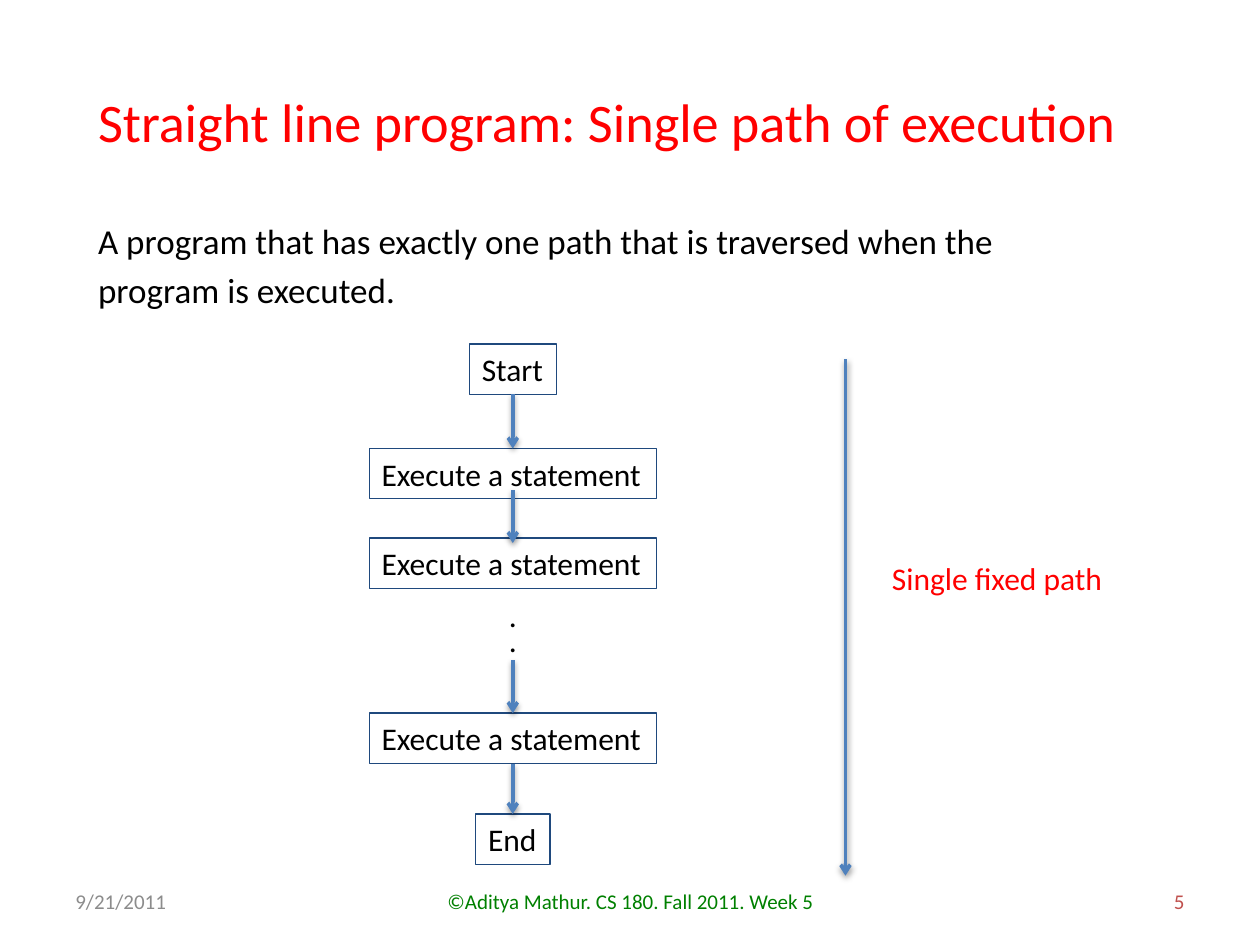
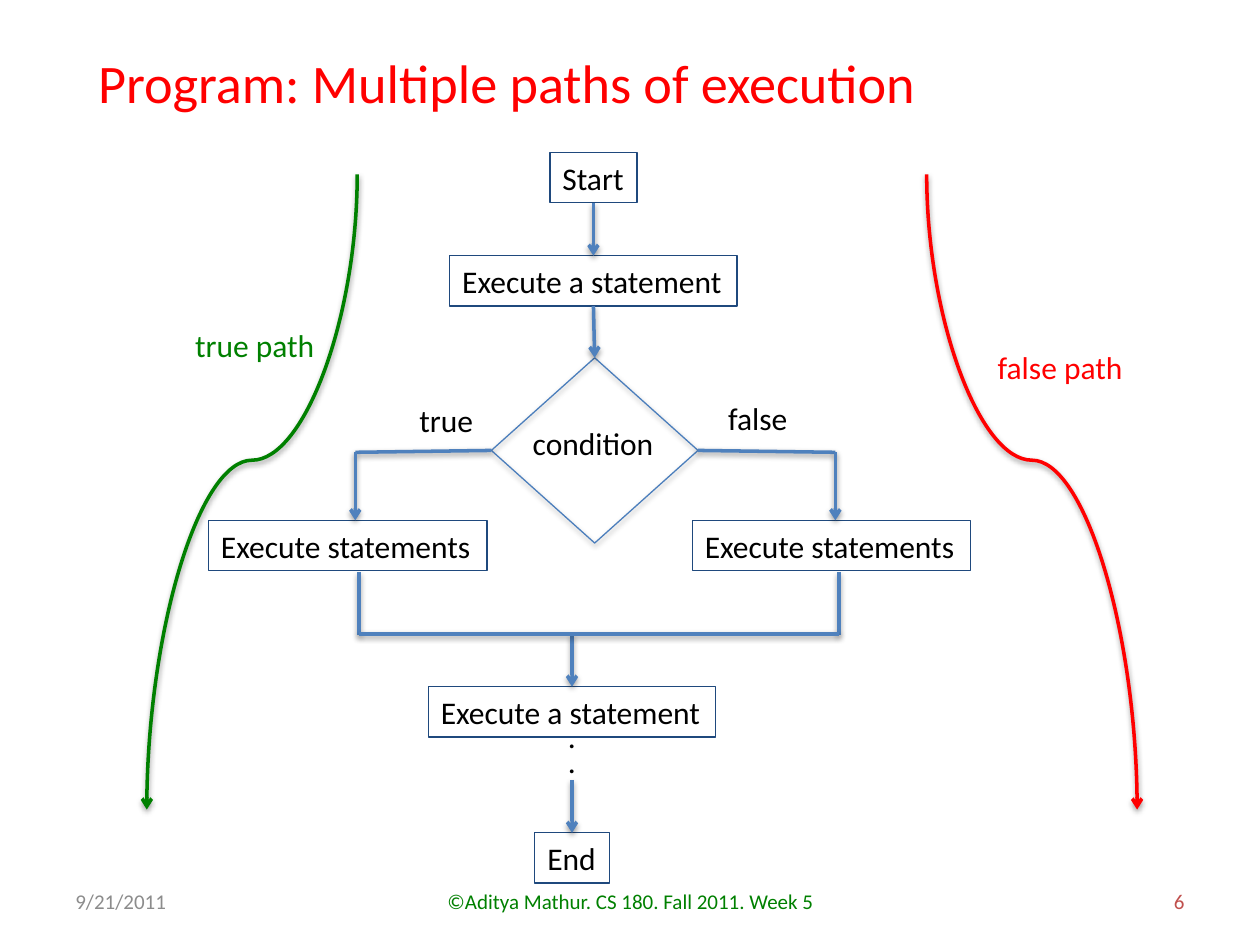
from lxml.etree import SubElement
from pptx import Presentation
from pptx.dml.color import RGBColor
from pptx.enum.shapes import MSO_CONNECTOR, MSO_SHAPE
from pptx.enum.text import MSO_ANCHOR, MSO_AUTO_SIZE, PP_ALIGN
from pptx.oxml.ns import qn
from pptx.util import Inches, Pt

COLORS = {
    "red": "FF0000", "green": "008000", "black": "000000", "gray": "8C8C8C",
    "number": "C0504D", "outline": "1F497D", "arrow": "4F81BD", "diamond": "4B7EBC",
}
FONT = "Calibri"
ROW = 0.4  # height of a one-line box
STATEMENT, STATEMENTS, START, END = 2.28, 2.21, 0.69, 0.59  # box widths
TOP, LEFT, BOTTOM, RIGHT = range(4)  # connection sites


def write(page, text, left, top, width, height=ROW, size=18, color="black",
          align=PP_ALIGN.LEFT, anchor=MSO_ANCHOR.TOP, wrap=False, outlined=False,
          line_spacing=None, space_after=None):
    place = [Inches(value) for value in (left, top, width, height)]
    if outlined:
        box = page.shapes.add_shape(MSO_SHAPE.RECTANGLE, *place)
        box.shadow.inherit = False
        box.fill.background()
        box.line.color.rgb = RGBColor.from_string(COLORS["outline"])
        box.line.width = Pt(0.75)
    else:
        box = page.shapes.add_textbox(*place)
    frame = box.text_frame
    frame.word_wrap = wrap
    frame.vertical_anchor = anchor
    if anchor == MSO_ANCHOR.TOP:
        frame.auto_size = MSO_AUTO_SIZE.SHAPE_TO_FIT_TEXT
    para = frame.paragraphs[0]
    para.alignment = align
    para.line_spacing = line_spacing
    para.space_after = space_after
    span = para.add_run()
    span.text = text
    span.font.name = FONT
    span.font.size = Pt(size)
    span.font.color.rgb = RGBColor.from_string(COLORS[color])
    return box


def connect(page, start, finish, color="arrow", head=True, kind=MSO_CONNECTOR.STRAIGHT,
            source=None, target=None):
    """Draw a shadowed line; source and target are (shape, site) pairs."""
    line = page.shapes.add_connector(kind, *[Inches(value) for value in (*start, *finish)])
    if source:
        line.begin_connect(*source)
    if target:
        line.end_connect(*target)
    line.line.color.rgb = RGBColor.from_string(COLORS[color])
    line.line.width = Pt(2)
    if head:
        SubElement(line.line._get_or_add_ln(), qn("a:tailEnd"), type="arrow")
    shadowed.append(line)
    return line


deck = Presentation()
deck.slide_width, deck.slide_height = Inches(10), Inches(7.5)
shadowed = []

# Titles and footers
pages = []
titles = [("Straight line program: Single path of execution", 0.65),
          ("Program: Multiple paths of execution", 0.34)]
for number, (title, title_top) in enumerate(titles, start=5):
    page = deck.slides.add_slide(deck.slide_layouts[6])
    pages.append(page)
    write(page, title, 0.68, title_top, 8.36, 0.62, size=31, color="red", wrap=True)
    for text, left, width, color, align in [
        ("9/21/2011", 0.5, 2.33, "gray", PP_ALIGN.LEFT),
        ("©Aditya Mathur. CS 180. Fall 2011. Week 5", 3.42, 3.17, "green", PP_ALIGN.CENTER),
        (str(number), 7.17, 2.33, "number", PP_ALIGN.RIGHT),
    ]:
        write(page, text, left, 6.95, width, size=12, color=color, align=align,
              anchor=MSO_ANCHOR.MIDDLE, wrap=True)
single, multiple = pages

# Boxes and dots of both flowcharts: text, centre, top, width
flows = [
    (single, [("Start", 4.07, 2.73, START), ("Execute a statement", 4.07, 3.56, STATEMENT),
              ("Execute a statement", 4.07, 4.27, STATEMENT),
              ("Execute a statement", 4.07, 5.66, STATEMENT), ("End", 4.07, 6.46, END)],
     (4.07, 4.68)),
    (multiple, [("Start", 4.71, 1.21, START), ("Execute a statement", 4.71, 2.03, STATEMENT),
                ("Execute statements", 2.76, 4.13, STATEMENTS),
                ("Execute statements", 6.6, 4.13, STATEMENTS),
                ("Execute a statement", 4.54, 5.45, STATEMENT), ("End", 4.54, 6.61, END)],
     (4.54, 5.64)),
]
charts = []
for page, steps, (dot_center, dot_top) in flows:
    charts.append([write(page, text, center - width / 2, top, width, outlined=True)
                   for text, center, top, width in steps])
    for row in range(2):
        write(page, ".", dot_center - 0.13, dot_top + 0.2 * row, 0.27)

# Single path: definition, arrows and path
write(single, "A program that has exactly one path that is traversed when the program is executed.",
      0.68, 1.64, 8.19, 0.88, size=20, wrap=True, line_spacing=Pt(28), space_after=Pt(18))
start, first, second, last, end = charts[0]
for top, source, target in [
    (3.14, (start, BOTTOM), (first, TOP)),
    (3.89, None, None),
    (5.24, None, (last, TOP)),
    (6.04, (last, BOTTOM), (end, TOP)),
]:
    connect(single, (4.07, top), (4.07, top + 0.42), source=source, target=target)
connect(single, (6.71, 2.85), (6.71, 6.95))
write(single, "Single fixed path", 6.98, 4.39, 1.89, color="red")

# Multiple paths: condition
start, first, true_step, false_step, last, end = charts[1]
diamond = multiple.shapes.add_shape(MSO_SHAPE.DIAMOND, Inches(3.9), Inches(2.84),
                                    Inches(1.64), Inches(1.47))
diamond.fill.background()
diamond.line.color.rgb = RGBColor.from_string(COLORS["diamond"])
diamond.line.width = Pt(0.75)
shadowed.append(diamond)
write(multiple, "condition", 4.13, 3.32, 1.17)

# Multiple paths: arrows down the middle
for center, top, source, target in [
    (4.71, 1.61, (start, BOTTOM), (first, TOP)),
    (4.71, 2.43, (first, BOTTOM), (diamond, TOP)),
    (4.54, 5.03, None, (last, TOP)),
    (4.54, 6.19, None, (end, TOP)),
]:
    connect(multiple, (center, top), (center, top + 0.42), source=source, target=target)

# Multiple paths: branches out of the condition and back together
for side, tip, branch, merge in [(LEFT, 3.9, 2.82, 2.85), (RIGHT, 5.54, 6.63, 6.66)]:
    connect(multiple, (tip, 3.58), (branch, 3.59), head=False, source=(diamond, side))
    connect(multiple, (branch, 3.59), (branch, 4.13))
    connect(multiple, (merge, 5.04), (merge, 4.54), head=False)
connect(multiple, (2.85, 5.03), (6.66, 5.03), head=False)

# Multiple paths: curves, laid out sideways and then turned upright
for begin_x, end_x, turn, color in [(-0.52, 4.52, 90, "green"), (10.71, 5.67, 270, "red")]:
    curve = connect(multiple, (begin_x, 3.07), (end_x, 4.74), color=color,
                    kind=MSO_CONNECTOR.CURVE)
    curve._element.spPr.find(qn("a:xfrm")).set("rot", str(turn * 60000))
    geometry = curve._element.spPr.find(qn("a:prstGeom"))
    guides = geometry.find(qn("a:avLst"))
    if guides is None:
        guides = SubElement(geometry, qn("a:avLst"))
    SubElement(guides, qn("a:gd"), name="adj1", fmla="val 45000")

# Multiple paths: labels
for text, left, top, width, color in [
    ("true", 3.23, 3.13, 0.63, "black"), ("false", 5.68, 3.12, 0.68, "black"),
    ("true path", 1.45, 2.54, 1.16, "green"), ("false path", 7.82, 2.71, 1.2, "red"),
]:
    write(multiple, text, left, top, width, color=color)

# Soft shadow under lines and diamond
for shape in shadowed:
    effects = SubElement(shape._element.spPr, qn("a:effectLst"))
    shadow = SubElement(effects, qn("a:outerShdw"), blurRad="40000", dist="20000",
                        dir="5400000", rotWithShape="0")
    tint = SubElement(shadow, qn("a:srgbClr"), val=COLORS["black"])
    SubElement(tint, qn("a:alpha"), val="38000")

deck.save("out.pptx")
